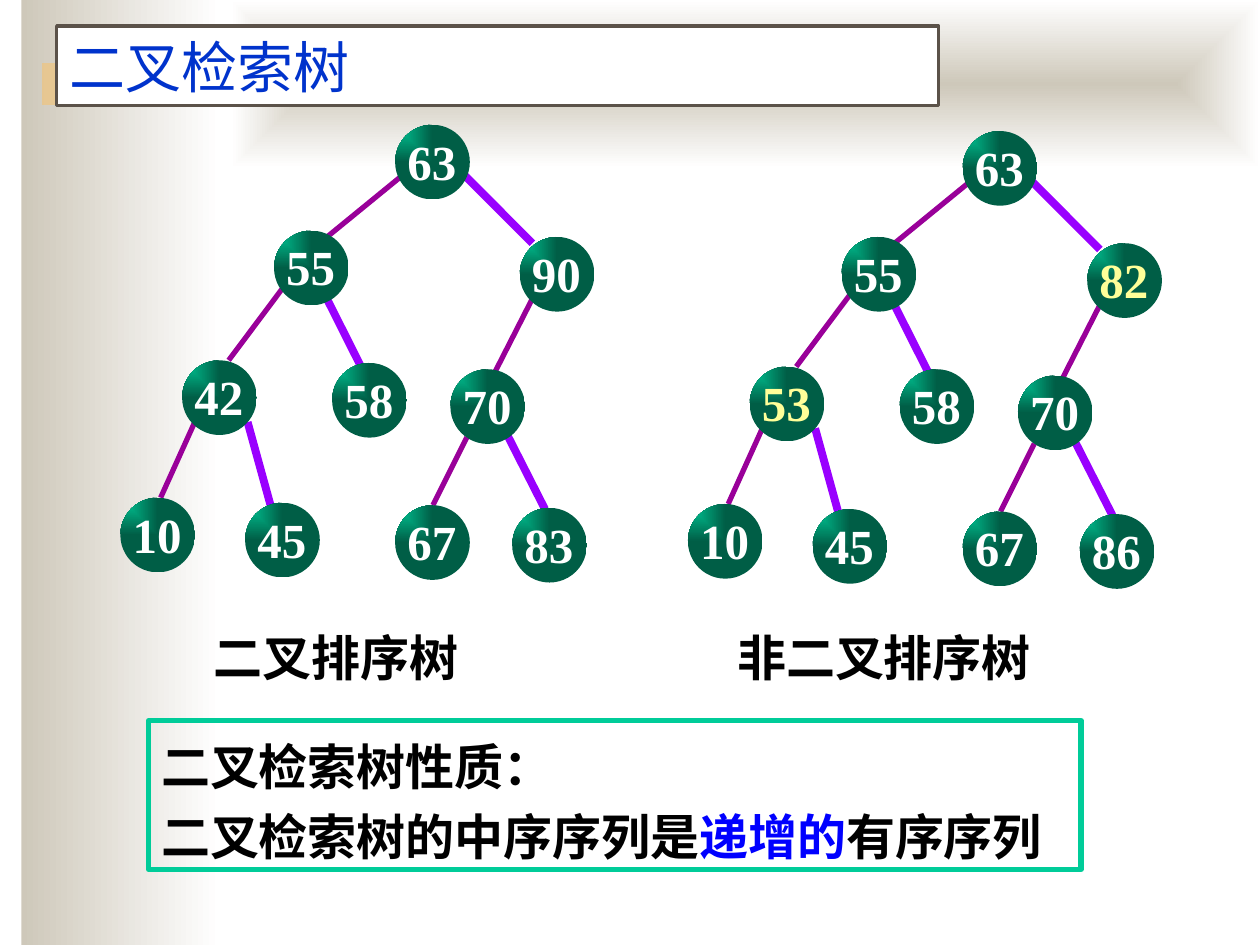
import pptx
import pptx.dml.color
import pptx.enum.shapes
import pptx.enum.text
import pptx.oxml
import pptx.oxml.ns
import pptx.util
from lxml import etree

Pt = pptx.util.Pt
RGB = pptx.dml.color.RGBColor
SHAPE = pptx.enum.shapes.MSO_SHAPE
ANCHOR = pptx.enum.text.MSO_ANCHOR
ALIGN = pptx.enum.text.PP_ALIGN
qn = pptx.oxml.ns.qn

WHITE = RGB(0xFF, 0xFF, 0xFF)
BLACK = RGB(0, 0, 0)
SAND = RGB(0xCE, 0xC8, 0xBA)
ORANGE = RGB(0xFA, 0xC1, 0x64)
BROWN = RGB(0x5B, 0x52, 0x49)
TITLE_BLUE = RGB(0x00, 0x33, 0xCC)
KEY_BLUE = RGB(0, 0, 0xFF)
GREEN = RGB(0x00, 0xCC, 0x99)
YELLOW = RGB(0xFF, 0xFF, 0x99)
LEFT_EDGE = RGB(0x99, 0x00, 0x99)
RIGHT_EDGE = RGB(0x99, 0x00, 0xFF)

LATIN, CJK = "Times New Roman", "Noto Sans CJK SC"
NODE_SIZE = 42.7

# Node positions inside a tree, in level order
NODE_SPOTS = [(157, 0), (87.8, 60.5), (228.2, 64.1), (35.3, 134.6), (121, 136.1),
              (188.6, 139.7), (0, 213.1), (71.3, 216), (157, 217.4), (223.9, 218.9)]
# Edges inside a tree, parent end first
EDGES = [(161.3, 28.8, 118.1, 64.1), (196.6, 28.8, 235.4, 67.7),
         (93.6, 92.2, 61.9, 134.6), (118, 99.4, 137.5, 138.2),
         (235.4, 99.4, 213.8, 141.8), (42.5, 169.9, 23, 213.1),
         (72.7, 169.9, 86.4, 219.6), (198, 178.6, 178.6, 217.4),
         (221, 177.1, 242.6, 219.6)]

LINEAR = '<a:lin ang="0" scaled="1"/>'
FROM_CENTRE = '<a:path path="shape"><a:fillToRect l="50000" t="50000" r="50000" b="50000"/></a:path>'
FROM_CORNER = '<a:path path="rect"><a:fillToRect r="100000" b="100000"/></a:path>'
DARKER = '<a:gamma/><a:shade val="46275"/><a:invGamma/>'


def points(*lengths):
    return [Pt(length) for length in lengths]


def add_plain(shapes, kind, box):
    shape = shapes.add_shape(kind, *points(*box))
    shape.shadow.inherit = False
    shape.line.fill.background()
    return shape


def fill_gradient(shape, start, end, direction, end_change=""):
    gradient = pptx.oxml.parse_xml(
        f'<a:gradFill {pptx.oxml.ns.nsdecls("a")} rotWithShape="0"><a:gsLst>'
        f'<a:gs pos="0"><a:srgbClr val="{start}"/></a:gs>'
        f'<a:gs pos="100000"><a:srgbClr val="{end}">{end_change}</a:srgbClr></a:gs>'
        f'</a:gsLst>{direction}</a:gradFill>')
    shape.element.spPr.find(qn("a:prstGeom")).addnext(gradient)


def format_run(run, size, color, bold=True, latin=LATIN):
    run.font.size = Pt(size)
    run.font.bold = bold
    run.font.color.rgb = color
    run.font.name = latin
    east_asian = etree.SubElement(run.font._element, qn("a:ea"))
    east_asian.set("typeface", CJK)


def draw_background(shapes, width, height):
    side_band = add_plain(shapes, SHAPE.RECTANGLE, (12.25, 0, 113.75, height))
    fill_gradient(side_band, SAND, WHITE, LINEAR)
    top_left = 132
    top_band = add_plain(shapes, SHAPE.RECTANGLE, (top_left, 0, width - top_left, 96))
    fill_gradient(top_band, SAND, WHITE, FROM_CENTRE)
    accent = add_plain(shapes, SHAPE.RECTANGLE, (24, 36, 198, 24))
    accent.fill.solid()
    accent.fill.fore_color.rgb = ORANGE
    color = accent.element.spPr.find(".//" + qn("a:srgbClr"))
    etree.SubElement(color, qn("a:alpha")).set("val", "50000")


def place_title(title, box):
    title.left, title.top, title.width, title.height = points(*box)
    title.fill.solid()
    title.fill.fore_color.rgb = WHITE
    title.line.color.rgb = BROWN
    title.line.width = Pt(2)
    title.text_frame.text = "二叉检索树"
    title.text_frame.vertical_anchor = ANCHOR.MIDDLE
    paragraph = title.text_frame.paragraphs[0]
    paragraph.alignment = ALIGN.LEFT
    format_run(paragraph.runs[0], 32, TITLE_BLUE, bold=False, latin=CJK)
    # Bring the title in front of the background bands
    title.element.getparent().append(title.element)


def draw_node(shapes, left, top, key, color):
    disc = add_plain(shapes, SHAPE.OVAL, (left, top, NODE_SIZE, NODE_SIZE))
    fill_gradient(disc, GREEN, GREEN, FROM_CORNER, DARKER)
    label = shapes.add_textbox(*points(left + 7, top + 3.6, 28.8, 37.4))
    frame = label.text_frame
    frame.margin_left = frame.margin_top = frame.margin_right = 0
    frame.margin_bottom = Pt(3)
    frame.word_wrap = False
    frame.text = str(key)
    format_run(frame.paragraphs[0].runs[0], 28, color)


def draw_tree(slide, left, top, keys, misplaced=()):
    shapes = slide.shapes.add_group_shape().shapes
    for x1, y1, x2, y2 in EDGES:
        edge = shapes.add_connector(pptx.enum.shapes.MSO_CONNECTOR.STRAIGHT,
                                    *points(left + x1, top + y1, left + x2, top + y2))
        goes_left = x2 < x1
        edge.line.color.rgb = LEFT_EDGE if goes_left else RIGHT_EDGE
        edge.line.width = Pt(3 if goes_left else 4.5)
        etree.SubElement(edge.element.spPr, qn("a:effectLst"))
    for key, (x, y) in zip(keys, NODE_SPOTS):
        draw_node(shapes, left + x, top + y, key, YELLOW if key in misplaced else WHITE)


def draw_captions(shapes, box):
    captions = shapes.add_textbox(*points(*box))
    captions.text_frame.word_wrap = True
    captions.text_frame.text = "二叉排序树\t非二叉排序树"
    paragraph = captions.text_frame.paragraphs[0]
    # The tab stop starts the caption of the second tree
    tabs = etree.SubElement(paragraph._p.get_or_add_pPr(), qn("a:tabLst"))
    tab = etree.SubElement(tabs, qn("a:tab"))
    tab.set("pos", str(Pt(299)))
    tab.set("algn", "l")
    for run in paragraph.runs:
        format_run(run, 28, BLACK)


def draw_property(shapes, box):
    panel = add_plain(shapes, SHAPE.RECTANGLE, box)
    panel.fill.background()
    panel.line.color.rgb = GREEN
    panel.line.width = Pt(3)
    frame = panel.text_frame
    frame.word_wrap = True
    frame.vertical_anchor = ANCHOR.MIDDLE
    lines = [[("二叉检索树性质：", BLACK)],
             [("二叉检索树的中序序列是", BLACK), ("递增的", KEY_BLUE), ("有序序列", BLACK)]]
    for index, line in enumerate(lines):
        paragraph = frame.add_paragraph() if index else frame.paragraphs[0]
        paragraph.alignment = ALIGN.JUSTIFY
        paragraph.line_spacing = 1.2
        properties = paragraph._p.get_or_add_pPr()
        properties.set("marL", str(Pt(27)))
        properties.set("indent", str(-Pt(27)))
        for text, color in line:
            run = paragraph.add_run()
            run.text = text
            format_run(run, 28, color)


def main():
    presentation = pptx.Presentation()
    presentation.slide_width, presentation.slide_height = points(720, 540)
    slide = presentation.slides.add_slide(presentation.slide_layouts[5])

    draw_background(slide.shapes, 720, 540)
    draw_captions(slide.shapes, (115.2, 355, 560, 41))
    place_title(slide.shapes.title, (32.4, 15, 504, 45.4))
    draw_tree(slide, 68.8, 71.3, [63, 55, 90, 42, 58, 70, 10, 45, 67, 83])
    draw_tree(slide, 393.1, 74.9, [63, 55, 82, 53, 58, 70, 10, 45, 67, 86],
              misplaced=(82, 53))
    draw_property(slide.shapes, (85, 411.8, 532.8, 85))
    presentation.save("out.pptx")


if __name__ == "__main__":
    main()
